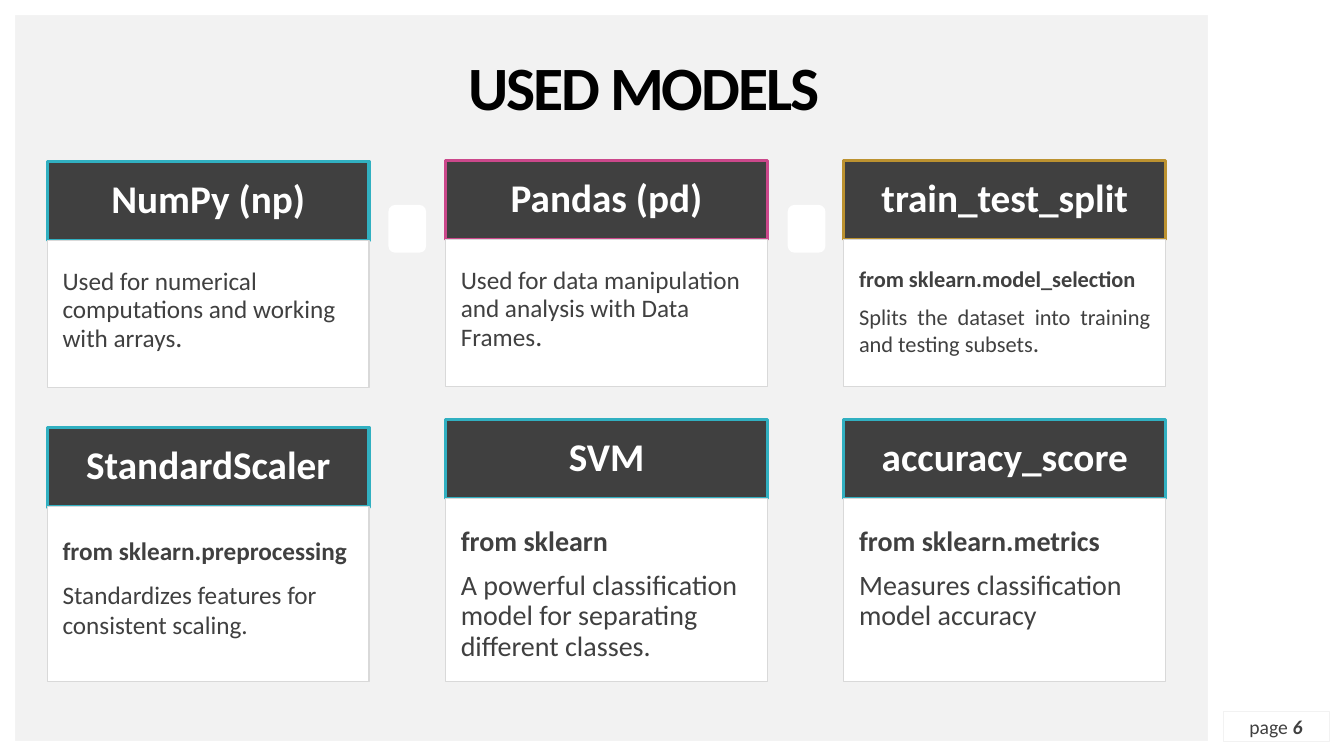
from pptx import Presentation
from pptx.dml.color import RGBColor
from pptx.enum import shapes, text
from pptx.util import Inches, Pt

WHITE = RGBColor(0xFF, 0xFF, 0xFF)
BLACK = RGBColor(0, 0, 0)
LIGHT_GRAY = RGBColor(0xF2, 0xF2, 0xF2)
BORDER_GRAY = RGBColor(0xD9, 0xD9, 0xD9)
DARK_GRAY = RGBColor(0x40, 0x40, 0x40)
TEAL = RGBColor(0x31, 0xB0, 0xC1)
PINK = RGBColor(0xCB, 0x48, 0x8B)
GOLD = RGBColor(0xBC, 0x92, 0x30)

LEFT, CENTER, JUSTIFY = text.PP_ALIGN.LEFT, text.PP_ALIGN.CENTER, text.PP_ALIGN.JUSTIFY
TOP, MIDDLE = text.MSO_ANCHOR.TOP, text.MSO_ANCHOR.MIDDLE
RECTANGLE = shapes.MSO_SHAPE.RECTANGLE

presentation = Presentation()
presentation.slide_width = Inches(13.33)
presentation.slide_height = Inches(7.5)
slide = presentation.slides.add_slide(presentation.slide_layouts[6])
slide.background.fill.solid()
slide.background.fill.fore_color.rgb = LIGHT_GRAY


def add_box(left, top, width, height, fill, line=None, line_width=1, kind=RECTANGLE):
    shape = slide.shapes.add_shape(kind, Inches(left), Inches(top), Inches(width), Inches(height))
    shape.shadow.inherit = False
    shape.fill.solid()
    shape.fill.fore_color.rgb = fill
    if line is None:
        shape.line.fill.background()
    else:
        shape.line.color.rgb = line
        shape.line.width = Pt(line_width)
    return shape


def write(shape, paragraphs, color, align, anchor, margins, spacing=0.9, before=10):
    """Fill a shape with paragraphs, each a list of (words, size, bold) runs."""
    frame = shape.text_frame
    frame.word_wrap = True
    frame.vertical_anchor = anchor
    side, top, bottom = margins
    frame.margin_left = frame.margin_right = Inches(side)
    frame.margin_top, frame.margin_bottom = Inches(top), Inches(bottom)
    for index, runs in enumerate(paragraphs):
        paragraph = frame.add_paragraph() if index else frame.paragraphs[0]
        paragraph.alignment = align
        paragraph.line_spacing = spacing
        paragraph.space_before = Pt(before)
        for words, size, bold in runs:
            run = paragraph.add_run()
            run.text = words
            run.font.name = "Calibri"
            run.font.size = Pt(size)
            run.font.bold = bold
            run.font.color.rgb = color


# White frame around the slide
for left, top, width, height in [(0, 0, 13.33, 0.15), (0, 0, 0.15, 7.5),
                                 (11.98, 0, 1.35, 7.5), (0, 7.35, 13.33, 0.15)]:
    add_box(left, top, width, height, WHITE)

# Title
title = slide.shapes.add_textbox(Inches(0.84), Inches(0.22), Inches(11.09), Inches(1.35))
write(title, [[("USED MODELS", 44, True)]], BLACK, CENTER, MIDDLE, (0, 0, 0), before=0)
title.text_frame.paragraphs[0].runs[0].font._element.set("spc", "-150")

# Cards: column, top, body height, accent, alignment, line spacing, heading, paragraphs
cards = [
    (0, 1.6, 1.45, TEAL, LEFT, 0.9, "NumPy (np)",
     [[("Used for numerical computations and working with arrays", 18, False), (".", 20, False)]]),
    (1, 1.59, 1.45, PINK, LEFT, 0.9, "Pandas (pd)",
     [[("Used for data manipulation and analysis with Data Frames", 18, False), (".", 20, False)]]),
    (2, 1.59, 1.45, GOLD, JUSTIFY, 0.9, "train_test_split",
     [[("from sklearn.model_selection", 16, True)],
      [("Splits the dataset into training and testing subsets", 16, False), (".", 18, False)]]),
    (0, 4.24, 1.73, TEAL, LEFT, 1.0, "StandardScaler",
     [[("from sklearn.preprocessing", 18, True)],
      [("Standardizes features for consistent scaling.", 18, False)]]),
    (1, 4.16, 1.81, TEAL, LEFT, 0.9, "SVM",
     [[("from sklearn", 20, True)],
      [("A powerful classification model for separating different classes.", 20, False)]]),
    (2, 4.16, 1.81, TEAL, LEFT, 0.9, "accuracy_score",
     [[("from sklearn.metrics", 20, True)],
      [("Measures classification model accuracy", 20, False)]]),
]
CARD_WIDTH, HEADER_HEIGHT = 3.19, 0.79
for column, top, body_height, accent, align, spacing, heading, paragraphs in cards:
    left = 0.47 + 3.95 * column
    header = add_box(left, top, CARD_WIDTH, HEADER_HEIGHT, DARK_GRAY, accent, 2.25)
    write(header, [[(heading, 28, True)]], WHITE, CENTER, MIDDLE, (0.12, 0.04, 0.04))
    body = add_box(left, top + HEADER_HEIGHT, CARD_WIDTH, body_height, WHITE, BORDER_GRAY, 0.75)
    write(body, paragraphs, DARK_GRAY, align, TOP, (0.15, 0.28, 0), spacing)

# White tabs between the upper cards
for left in (3.86, 7.82):
    add_box(left, 2.04, 0.36, 0.46, WHITE, WHITE, 1, shapes.MSO_SHAPE.ROUNDED_RECTANGLE)

# Page number
page = add_box(12.13, 7.06, 1.05, 0.29, WHITE, LIGHT_GRAY, 0.25)
page.fill.background()
write(page, [[("page ", 14, False), ("6", 14, True)]], DARK_GRAY, CENTER, MIDDLE, (0, 0, 0), 1.0, 0)
page.text_frame.paragraphs[0].runs[1].font.italic = True

presentation.save("out.pptx")
